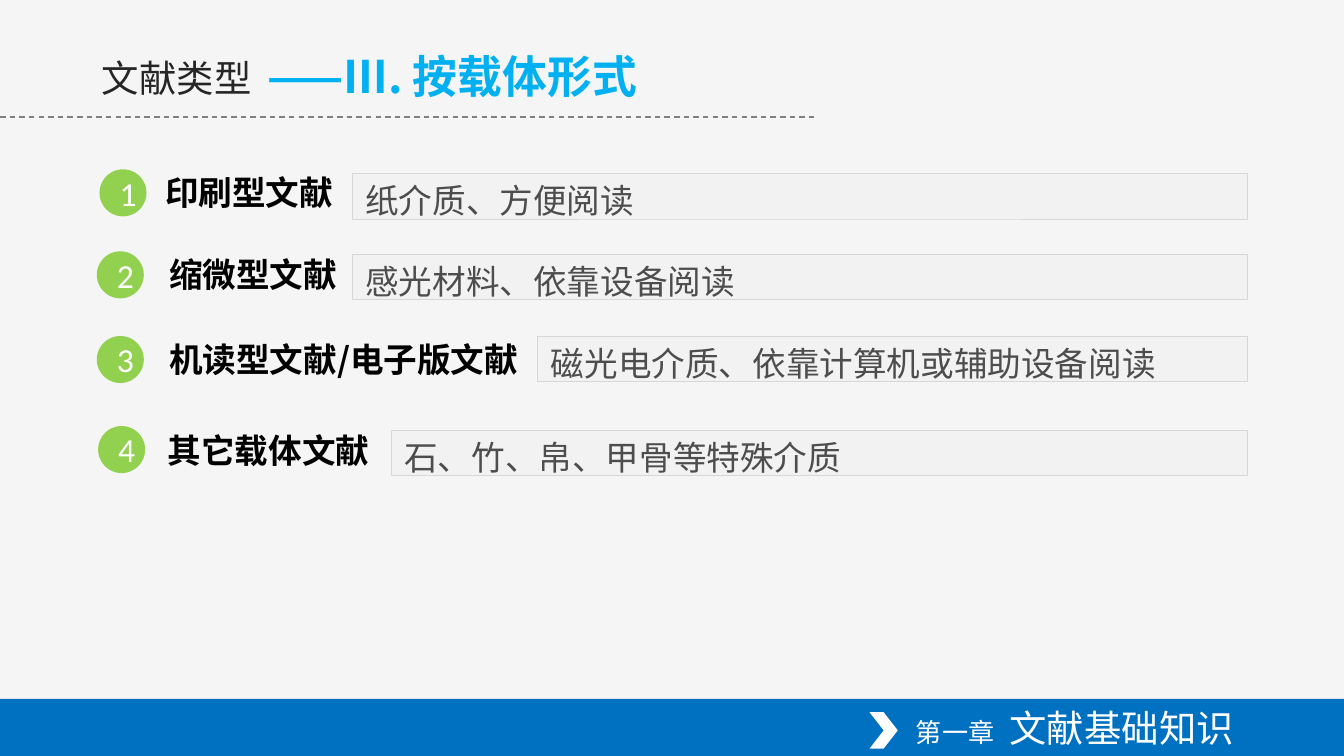
from dataclasses import dataclass
from lxml.etree import SubElement
from pptx import Presentation
from pptx.dml.color import RGBColor
from pptx.enum.dml import MSO_LINE
from pptx.enum.shapes import MSO_CONNECTOR, MSO_SHAPE
from pptx.enum.text import MSO_ANCHOR, PP_ALIGN
from pptx.oxml.ns import qn
from pptx.util import Inches, Pt

# Content: label, detail
ROWS = [
    ("印刷型文献", "纸介质、方便阅读"),
    ("缩微型文献", "感光材料、依靠设备阅读"),
    ("机读型文献/电子版文献", "磁光电介质、依靠计算机或辅助设备阅读"),
    ("其它载体文献", "石、竹、帛、甲骨等特殊介质"),
]
# Places per row: dot left and top, label left, top and width, box left and top
GRID = [
    (0.74, 1.26, 1.13, 1.23, 1.53, 2.62, 1.29),
    (0.72, 1.87, 1.16, 1.84, 1.53, 2.62, 1.89),
    (0.72, 2.50, 1.16, 2.47, 2.87, 4.00, 2.50),
    (0.73, 3.17, 1.15, 3.15, 2.87, 2.91, 3.20),
]
TITLE = "文献类型"
TOPIC = "——Ⅲ. 按载体形式"


@dataclass
class Theme:
    sans: str = "Noto Sans CJK SC"
    num: str = "Calibri"
    back: str = "F5F5F5"
    band: str = "0070C0"
    dot: str = "92D050"
    box: str = "F2F2F2"
    edge: str = "D7D7D7"
    rule: str = "808080"
    white: str = "FFFFFF"
    black: str = "000000"
    dark: str = "262626"
    gray: str = "4D4D4D"
    sky: str = "00B0F0"
    body: int = 18
    head: int = 20
    big: int = 24


T = Theme()
FOOT = [("第一章", 14), (" ", 16), (" 文献基础知识", T.head)]
WIDE = 10
HIGH = WIDE * 9 / 16
EDGE = 9.28  # shared right edge of the boxes and footer
DOT, BOX = 0.35, 0.34

deck = Presentation()
deck.slide_width, deck.slide_height = Inches(WIDE), Inches(HIGH)
slide = deck.slides.add_slide(deck.slide_layouts[6])
slide.background.fill.solid()
slide.background.fill.fore_color.rgb = RGBColor.from_string(T.back)


def add_run(para, text, size, color, font=T.sans, bold=False):
    run = para.add_run()
    run.text = text
    run.font.size, run.font.bold, run.font.name = Pt(size), bold, font
    run.font.color.rgb = RGBColor.from_string(color)
    SubElement(run.font._element, qn("a:ea"), typeface=font)


def add_form(kind, place, fill, line=None):
    form = slide.shapes.add_shape(kind, *map(Inches, place))
    form.shadow.inherit = False
    form.fill.solid()
    form.fill.fore_color.rgb = RGBColor.from_string(fill)
    if line:
        form.line.color.rgb = RGBColor.from_string(line)
        form.line.width = Pt(0.25)
    else:
        form.line.fill.background()
    form.text_frame.vertical_anchor = MSO_ANCHOR.MIDDLE
    return form


def add_text(place):
    frame = slide.shapes.add_textbox(*map(Inches, place)).text_frame
    frame.word_wrap = True
    return frame


# Dashed rule under the title
rule = slide.shapes.add_connector(
    MSO_CONNECTOR.STRAIGHT, 0, Inches(0.87), Inches(6.06), Inches(0.87))
rule.line.color.rgb = RGBColor.from_string(T.rule)
rule.line.width, rule.line.dash_style = Pt(0.75), MSO_LINE.DASH
SubElement(rule._element.spPr, qn("a:effectLst"))

# Footer band
add_form(MSO_SHAPE.RECTANGLE, (0, 5.2, WIDE, HIGH - 5.2), T.band)
foot = add_text((0.67, 5.19, EDGE - 0.67, 0.44))
foot.vertical_anchor = MSO_ANCHOR.MIDDLE
foot.paragraphs[0].alignment = PP_ALIGN.RIGHT
for text, size in FOOT:
    add_run(foot.paragraphs[0], text, size, T.white)
add_form(MSO_SHAPE.CHEVRON, (6.47, 5.3, 0.21, 0.27), T.white)

# Numbered rows
for num, ((name, note), place) in enumerate(zip(ROWS, GRID), 1):
    dot_x, dot_y, name_x, name_y, name_w, box_x, box_y = place
    label = add_text((name_x, name_y, name_w, 0.4))
    add_run(label.paragraphs[0], name, T.body, T.black, bold=True)

    dot = add_form(MSO_SHAPE.OVAL, (dot_x, dot_y, DOT, DOT), T.dot)
    para = dot.text_frame.paragraphs[0]
    para.alignment = PP_ALIGN.CENTER
    add_run(para, str(num), T.body, T.white, T.num)

    box = add_form(MSO_SHAPE.RECTANGLE,
                   (box_x, box_y, EDGE - box_x, BOX), T.box, T.edge)
    para = box.text_frame.paragraphs[0]
    para.alignment, para.line_spacing = PP_ALIGN.LEFT, 1.2
    add_run(para, note, T.body, T.gray)

# Title
add_run(add_text((0.66, 0.36, 1.76, 0.44)).paragraphs[0],
        TITLE, T.head, T.dark)
add_run(add_text((1.89, 0.31, 4.53, 0.5)).paragraphs[0],
        TOPIC, T.big, T.sky, bold=True)

deck.save("out.pptx")
